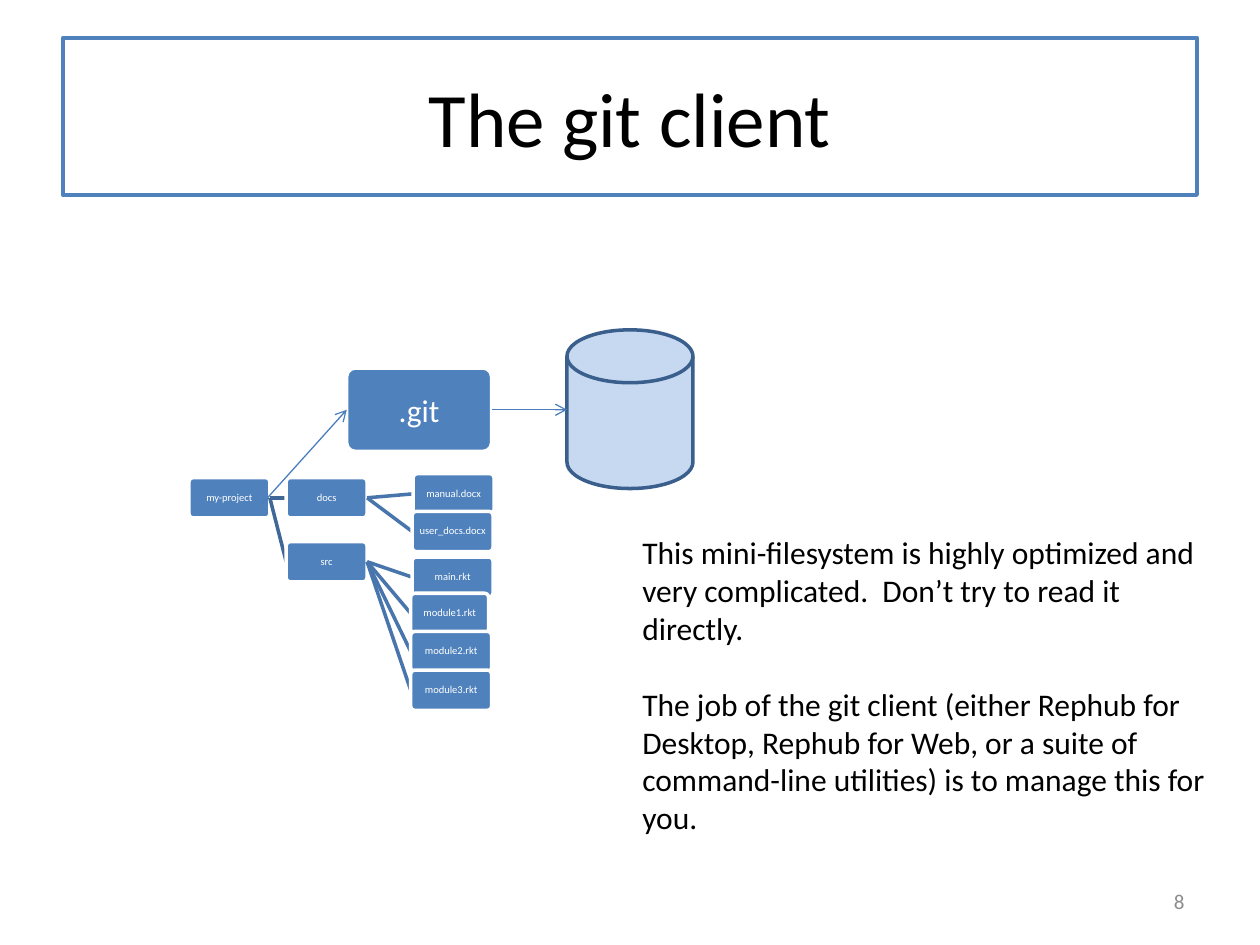
from dataclasses import dataclass
from pptx import Presentation
from pptx.dml.color import RGBColor as Rgb
from pptx.enum.shapes import MSO_CONNECTOR as Link, MSO_SHAPE as Form
from pptx.enum.text import MSO_ANCHOR as Anchor, PP_ALIGN as Align
from pptx.oxml.ns import qn
from pptx.util import Cm, Pt
from lxml.etree import SubElement as Sub


@dataclass(frozen=True)
class Theme:
    font: str = "Calibri"
    ink: str = "000000"
    white: str = "FFFFFF"
    blue: str = "4F81BD"
    pale: str = "C6D9F1"
    edge: str = "3A5F8C"
    arrow: str = "4B7EBC"
    stem: str = "3F6797"
    twig: str = "4875AC"
    gray: str = "8C8C8C"
    head: int = 44
    body: int = 18
    note: int = 12
    tiny: int = 6


look = Theme()


def write(shape, *texts, size=look.body, color=look.ink, align=Align.LEFT,
          anchor=Anchor.TOP, gap=0, lead=None, inset=None):
    frame = shape.text_frame
    frame.word_wrap = True
    frame.vertical_anchor = anchor
    if inset is not None:
        frame.margin_left = frame.margin_right = Cm(inset)
        frame.margin_top = frame.margin_bottom = Cm(inset)
    for i, text in enumerate(texts):
        para = frame.add_paragraph() if i else frame.paragraphs[0]
        para.alignment = align
        para.line_spacing = lead
        para.space_before = Pt(gap if i else 0)
        run = para.add_run()
        run.text = text
        run.font.name = look.font
        run.font.size = Pt(size)
        run.font.color.rgb = Rgb.from_string(color)


def join(start, end, color, width, tip=False):
    line = slide.shapes.add_connector(Link.STRAIGHT, *map(Cm, start + end))
    line.line.color.rgb = Rgb.from_string(color)
    line.line.width = Pt(width)
    if tip:
        Sub(line.line._get_or_add_ln(), qn("a:tailEnd"), type="arrow")
    Sub(line._element.spPr, qn("a:effectLst"))


deck = Presentation()
deck.slide_width, deck.slide_height = Cm(25.4), Cm(19.05)
slide = deck.slides.add_slide(deck.slide_layouts[5])

# Title
title = slide.shapes.title
title.left, title.top, title.width, title.height = map(Cm, (1.27, 0.76, 22.86, 3.17))
title.line.color.rgb = Rgb.from_string(look.blue)
title.line.width = Pt(2.25)
write(title, "The git client", size=look.head, align=Align.CENTER, anchor=Anchor.MIDDLE)

# Project tree: name, parent, left, top, width, height, text size
high = 0.81
nodes = [
    ("my-project", None, 3.81, 9.63, 1.63, high, look.tiny),
    ("docs", "my-project", 5.77, 9.63, 1.63, high, look.tiny),
    ("manual.docx", "docs", 8.33, 9.55, 1.63, high, look.tiny),
    ("user_docs.docx", "docs", 8.31, 10.31, 1.63, high, look.tiny),
    ("src", "my-project", 5.77, 10.92, 1.63, high, look.tiny),
    ("main.rkt", "src", 8.31, 11.23, 1.63, high, look.tiny),
    ("module1.rkt", "src", 8.28, 11.96, 1.57, high, look.tiny),
    ("module2.rkt", "src", 8.28, 12.73, 1.63, high, look.tiny),
    ("module3.rkt", "src", 8.28, 13.51, 1.63, high, look.tiny),
    (".git", None, 6.99, 7.42, 2.92, 1.68, look.body),
]
ports = {}
for name, owner, left, top, width, tall, size in nodes:
    mid = top + tall / 2
    ports[name] = (left + width, mid)
    if owner:
        tone = look.stem if owner == "my-project" else look.twig
        join(ports[owner], (left, mid), tone, 2)
    box = slide.shapes.add_shape(Form.ROUNDED_RECTANGLE, *map(Cm, (left, top, width, tall)))
    box.adjustments[0] = 0.1
    box.shadow.inherit = False
    box.fill.solid()
    box.fill.fore_color.rgb = Rgb.from_string(look.blue)
    box.line.color.rgb = Rgb.from_string(look.white)
    box.line.width = Pt(2)
    write(box, name, size=size, color=look.white, align=Align.CENTER,
          anchor=Anchor.MIDDLE, lead=0.9 if owner else None, inset=0)

# Store
disk = slide.shapes.add_shape(Form.FLOWCHART_MAGNETIC_DISK,
                              Cm(11.43), Cm(6.65), Cm(2.54), Cm(3.2))
disk.shadow.inherit = False
disk.fill.solid()
disk.fill.fore_color.rgb = Rgb.from_string(look.pale)
disk.line.color.rgb = Rgb.from_string(look.edge)
disk.line.width = Pt(2)

# Arrows from project to .git to store
join(ports[".git"], (11.43, 8.26), look.arrow, 0.75, tip=True)
join((5.28, 10.16), (6.99, 8.26), look.arrow, 0.75, tip=True)

# Remarks
remark = slide.shapes.add_textbox(Cm(12.7), Cm(10.62), Cm(11.91), Cm(6.4))
write(remark,
      "This mini-filesystem is highly optimized and very complicated.  "
      "Don’t try to read it directly.",
      "The job of the git client (either Rephub for Desktop, Rephub for Web, "
      "or a suite of command-line utilities) is to manage this for you.",
      gap=22)

# Slide number
number = slide.shapes.add_textbox(Cm(18.21), Cm(17.65), Cm(5.92), Cm(1.02))
write(number, "8", size=look.note, color=look.gray, align=Align.RIGHT, anchor=Anchor.MIDDLE)

deck.save("out.pptx")
